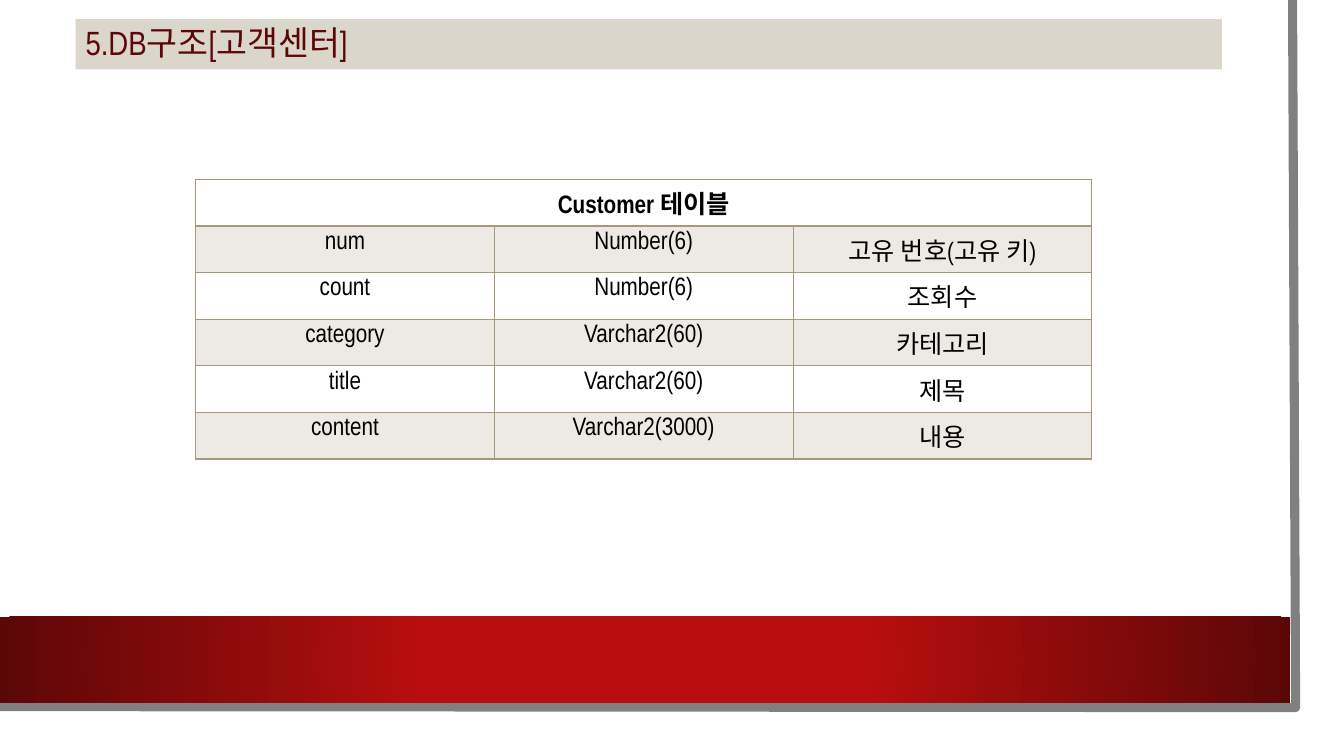
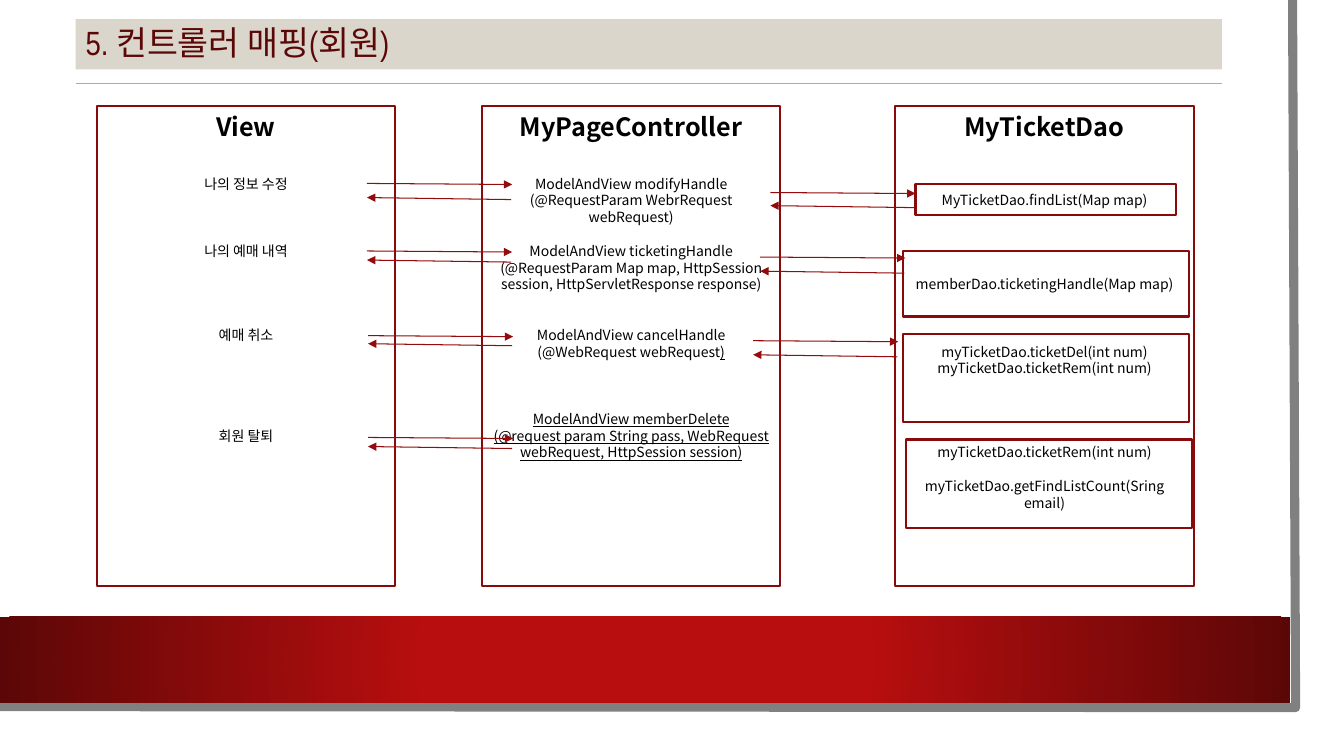
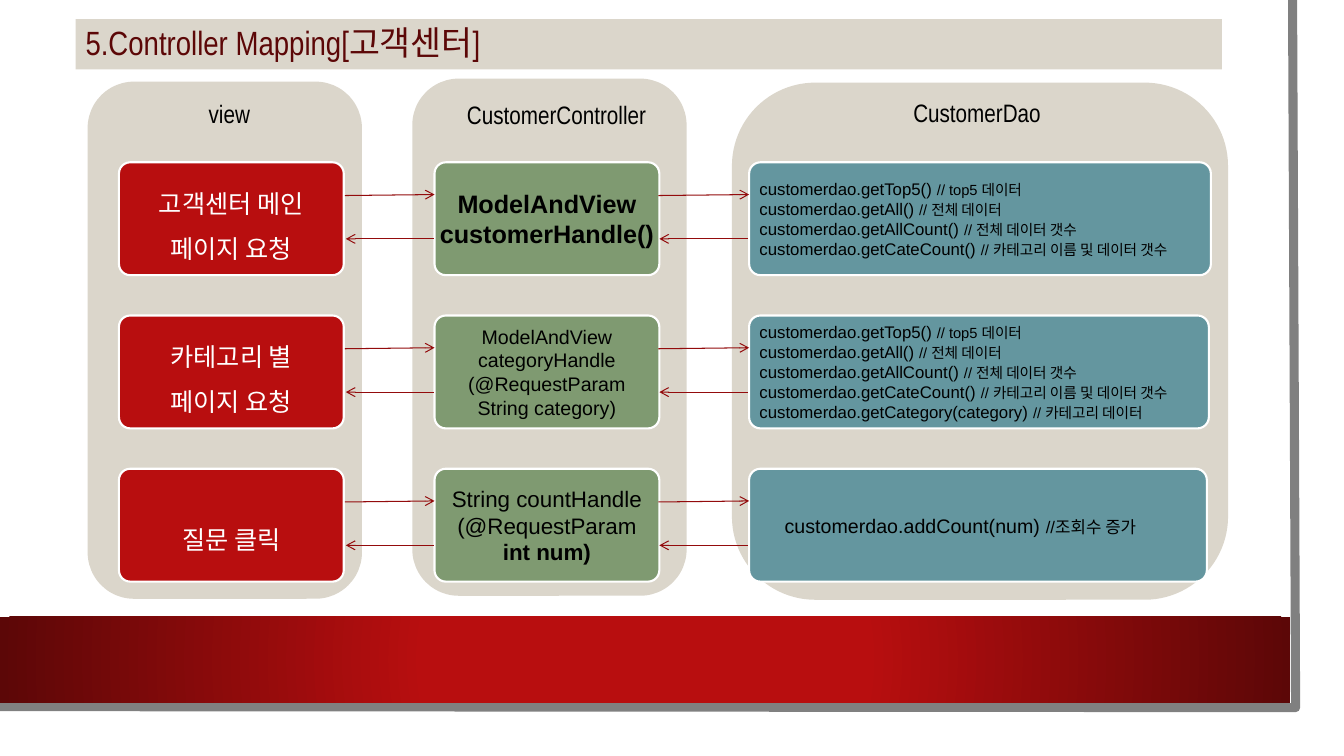
from dataclasses import dataclass

from lxml import etree
from pptx import Presentation
from pptx.dml.color import RGBColor
from pptx.enum.shapes import MSO_CONNECTOR, MSO_SHAPE
from pptx.enum.text import MSO_ANCHOR, PP_ALIGN
from pptx.oxml.ns import qn
from pptx.util import Inches, Pt

RECT, ROUND = MSO_SHAPE.RECTANGLE, MSO_SHAPE.ROUNDED_RECTANGLE
LEFT, CENTER = PP_ALIGN.LEFT, PP_ALIGN.CENTER
TOP, MIDDLE = MSO_ANCHOR.TOP, MSO_ANCHOR.MIDDLE
STRAIGHT = MSO_CONNECTOR.STRAIGHT


@dataclass(frozen=True)
class Theme:
    black: RGBColor = RGBColor.from_string("000000")
    white: RGBColor = RGBColor.from_string("FFFFFF")
    grey: RGBColor = RGBColor.from_string("808080")
    sand: RGBColor = RGBColor.from_string("DBD6CB")
    red: RGBColor = RGBColor.from_string("B80E0F")
    maroon: RGBColor = RGBColor.from_string("5C0707")
    outline: RGBColor = RGBColor.from_string("880A0B")
    arrow: RGBColor = RGBColor.from_string("930B0C")
    rule: RGBColor = RGBColor.from_string("F68B8C")
    green: RGBColor = RGBColor.from_string("7F9A71")
    blue: RGBColor = RGBColor.from_string("64969F")
    border: str = "A6987D"
    band: RGBColor = RGBColor.from_string("EDEAE5")
    narrow: str = "Arial Narrow"
    sans: str = "Arial"
    korean: str = "Noto Sans CJK KR"
    title: Pt = Pt(24)
    heading: Pt = Pt(18)
    large: Pt = Pt(16)
    medium: Pt = Pt(14)
    code: Pt = Pt(12)
    comment: Pt = Pt(10.5)
    small: Pt = Pt(10)


T = Theme()
LABEL = {"name": T.narrow, "size": T.heading}


def add_box(s, kind, at, fill=None, line=None, paras=(), color=T.black, frame=None):
    """Add a shape, or a text box when kind is None.

    Each paragraph is (runs, paragraph format); each run is (text, font format).
    """
    at = [Inches(v) for v in at]
    if kind is None:
        sp = s.shapes.add_textbox(*at)
    else:
        sp = s.shapes.add_shape(kind, *at)
        sp.shadow.inherit = False
        for part, value in ((sp.fill, fill), (sp.line.fill, line)):
            if value is None:
                part.background()
            else:
                part.solid()
                part.fore_color.rgb = value
        if line is not None:
            sp.line.width = Pt(1.5)
    tf = sp.text_frame
    tf.word_wrap = True
    for key, value in (frame or {}).items():
        setattr(tf, key, value)
    for i, (runs, p_format) in enumerate(paras):
        p = tf.add_paragraph() if i else tf.paragraphs[0]
        for key, value in {"alignment": CENTER, **p_format}.items():
            setattr(p, key, value)
        for text, font in runs:
            r = p.add_run()
            r.text = text
            r.font.color.rgb = color
            for key, value in font.items():
                setattr(r.font, key, value)
            etree.SubElement(r.font._element, qn("a:ea"), typeface=T.korean)
    return sp


def add_line(s, x1, y1, x2, y2, color=T.arrow, head=None):
    c = s.shapes.add_connector(STRAIGHT, *[Inches(v) for v in (x1, y1, x2, y2)])
    c.line.color.rgb = color
    c.line.width = Pt(0.75)
    if head:
        etree.SubElement(c.line._get_or_add_ln(), qn("a:tailEnd"), type=head)
    etree.SubElement(c._element.spPr, qn("a:effectLst"))


prs = Presentation()
prs.slide_width, prs.slide_height = Inches(13.33), Inches(7.5)

# Shared frame and title
slides = []
for title in ("5.DB구조[고객센터]", "5. 컨트롤러 매핑(회원)", "5.Controller Mapping[고객센터]"):
    s = prs.slides.add_slide(prs.slide_layouts[6])
    slides.append(s)
    builder = s.shapes.build_freeform(Inches(12.82), 0)
    builder.add_line_segments(
        [(Inches(12.85), Inches(7.02)), (Inches(-0.03), Inches(7.01))], close=False)
    edge = builder.convert_to_shape()
    edge.shadow.inherit = False
    edge.fill.background()
    edge.line.color.rgb = T.grey
    edge.line.width = Pt(6.5)

    footer = add_box(s, RECT, (0, 6.12, 12.8, 0.85), fill=T.red)
    footer.fill.gradient()
    for stop, color, position in zip(footer.fill.gradient_stops, (T.red, T.maroon), (0.34, 1)):
        stop.color.rgb = color
        stop.position = position
    grad = footer._element.spPr.find(qn("a:gradFill"))
    grad.remove(grad.find(qn("a:lin")))
    radial = etree.SubElement(grad, qn("a:path"), path="circle")
    etree.SubElement(radial, qn("a:fillToRect"), {side: "50000" for side in "ltrb"})

    add_box(s, RECT, (0.75, 0.19, 11.37, 0.5), fill=T.sand, color=T.maroon,
            paras=[([(title, {"name": T.narrow, "size": T.title})],
                    {"alignment": LEFT, "line_spacing": 0.9})],
            frame={"vertical_anchor": MIDDLE})
table_slide, member_slide, center_slide = slides

# Customer table
rows = [
    ("Customer 테이블", "", ""),
    ("num", "Number(6)", "고유 번호(고유 키)"),
    ("count", "Number(6)", "조회수"),
    ("category", "Varchar2(60)", "카테고리"),
    ("title", "Varchar2(60)", "제목"),
    ("content", "Varchar2(3000)", "내용"),
]
row_height = Inches(0.46)
table = table_slide.shapes.add_table(
    len(rows), 3, Inches(1.94), Inches(1.78), Inches(8.89), row_height * len(rows)).table
table.first_row = table.horz_banding = False
for i, row in enumerate(rows):
    table.rows[i].height = row_height
    for j, text in enumerate(row):
        cell = table.cell(i, j)
        tcPr = cell._tc.get_or_add_tcPr()
        for side in ("lnL", "lnR", "lnT", "lnB"):
            width = Pt(2) if (i, side) in ((0, "lnB"), (1, "lnT")) else Pt(1)
            ln = etree.SubElement(tcPr, qn(f"a:{side}"), w=str(width))
            solid = etree.SubElement(ln, qn("a:solidFill"))
            etree.SubElement(solid, qn("a:srgbClr"), val=T.border)
        if i % 2:
            cell.fill.solid()
            cell.fill.fore_color.rgb = T.band
        else:
            cell.fill.background()
        if text:
            p = cell.text_frame.paragraphs[0]
            p.alignment = CENTER
            r = p.add_run()
            r.text = text
            r.font.color.rgb = T.black
            for key, value in {**LABEL, "bold": i == 0}.items():
                setattr(r.font, key, value)
            etree.SubElement(r.font._element, qn("a:ea"), typeface=T.korean)
table.cell(0, 0).merge(table.cell(0, 2))

# Member mapping: each line is (empty lines above, plain text, underlined text)
s = member_slide
columns = [
    (0.96, "View", [
        (2, "나의 정보 수정"),
        (3, "나의 예매 내역"),
        (4, "예매 취소"),
        (5, "회원 탈퇴"),
    ]),
    (4.78, "MyPageController", [
        (2, "ModelAndView modifyHandle"),
        (0, "(@RequestParam WebrRequest webRequest)"),
        (1, "ModelAndView ticketingHandle"),
        (0, "(@RequestParam Map map, HttpSession session, HttpServletResponse response)"),
        (2, "ModelAndView cancelHandle"),
        (0, "(@WebRequest webRequest", ")"),
        (3, "", "ModelAndView memberDelete"),
        (0, "", "(@request param String pass, WebRequest webRequest, HttpSession session)"),
    ]),
    (8.88, "MyTicketDao", [
        (3, "MyTicketDao.findList(Map map)"),
        (4, "memberDao.ticketingHandle(Map map)"),
        (3, "myTicketDao.ticketDel(int num)"),
        (0, "myTicketDao.ticketRem(int num)"),
        (4, "myTicketDao.ticketRem(int num)"),
        (1, "myTicketDao.getFindListCount(Sring email)"),
    ]),
]
line_height = 12
for x, heading, lines in columns:
    paras = [([(heading, {"name": T.korean, "size": T.heading, "bold": True})],
              {"line_spacing": Pt(22)})]
    for gap, *texts in lines:
        runs = [(text, {"name": T.korean, "size": T.small, "underline": k == 1})
                for k, text in enumerate(texts) if text]
        paras.append((runs, {"line_spacing": Pt(line_height),
                             "space_before": Pt(gap * line_height)}))
    add_box(s, RECT, (x, 1.05, 2.96, 4.76), line=T.outline, paras=paras,
            frame={"vertical_anchor": TOP})

for at in ((9.08, 1.83, 2.58, 0.3), (8.96, 2.49, 2.83, 0.65),
           (8.96, 3.31, 2.83, 0.88), (8.99, 4.36, 2.83, 0.88)):
    add_box(s, RECT, at, line=T.outline)

for x, y_call, y_return in (
        (3.64, 1.82, 1.96), (3.64, 2.49, 2.58), (3.65, 3.33, 3.41), (3.65, 4.34, 4.43),
        (7.64, 1.91, 2.04), (7.54, 2.55, 2.69), (7.47, 3.38, 3.52)):
    add_line(s, x, y_call, x + 1.44, y_call + 0.01, head="triangle")
    add_line(s, x + 1.43, y_return + 0.02, x, y_return, head="triangle")
add_line(s, 0.75, 0.83, 12.12, 0.83, color=T.rule)

# Customer center mapping
s = center_slide
for x, y, width in ((0.88, 0.82, 2.7), (4.1, 0.79, 2.7), (7.27, 0.83, 4.9)):
    add_box(s, ROUND, (x, y, width, 5.11), fill=T.sand, line=T.sand)
for text, x, y, width in (("view", 1.56, 0.93, 1.43), ("CustomerController", 4.38, 0.94, 2.28),
                          ("CustomerDao", 8.88, 0.92, 1.62)):
    add_box(s, None, (x, y, width, 0.4), paras=[([(text, LABEL)], {})])

queries = [
    ("customerdao.getTop5() ", "// top5 데이터"),
    ("customerdao.getAll() ", "// 전체 데이터"),
    ("customerdao.getAllCount() ", "// 전체 데이터 갯수"),
    ("customerdao.getCateCount() ", "// 카테고리 이름 및 데이터 갯수"),
]
category_query = ("customerdao.getCategory(category) ", "// 카테고리 데이터")
count_query = ("customerdao.addCount(num) ", "//조회수 증가")
# Request, its line height; handler lines as (text, bold), size;
# queries, code size, comment size, line height, left margin, box width
requests = [
    ("고객센터 메인 페이지 요청", 32,
     [("ModelAndView customerHandle()", True)], T.heading,
     queries, T.code, T.comment, 14.4, 0.07, 4.58),
    ("카테고리 별 페이지 요청", 32,
     [("ModelAndView categoryHandle", False), ("(@RequestParam", False),
      ("String category)", False)], T.medium,
     queries + [category_query], T.code, T.comment, 14.4, 0.07, 4.56),
    ("질문 클릭", 42,
     [("String countHandle", False), ("(@RequestParam", False), ("int num)", True)], T.large,
     [count_query], T.medium, T.code, 17, 0.32, 4.54),
]
for i, (request, request_height, handler, handler_size, calls, code_size, comment_size,
        call_height, margin, dao_width) in enumerate(requests):
    y = 1.61 + 1.52 * i
    request_paras = [([(request, LABEL)], {"line_spacing": Pt(request_height)})]
    handler_paras = [([(text, {"name": T.sans, "size": handler_size, "bold": bold})], {})
                     for text, bold in handler]
    call_paras = [([(code, {"name": T.sans, "size": code_size}),
                    (comment, {"name": T.sans, "size": comment_size})],
                   {"alignment": LEFT, "line_spacing": Pt(call_height)})
                  for code, comment in calls]
    for x, width, fill, color, paras, left, right in (
            (1.18, 2.23, T.red, T.white, request_paras, 0.15, 0.15),
            (4.31, 2.23, T.green, T.black, handler_paras, 0, 0),
            (7.43, dao_width, T.blue, T.black, call_paras, margin, 0)):
        sp = add_box(s, ROUND, (x, y, width, 1.12), fill=fill, line=T.white,
                     paras=paras, color=color,
                     frame={"vertical_anchor": MIDDLE, "margin_left": Inches(left),
                            "margin_right": Inches(right), "margin_top": 0,
                            "margin_bottom": 0})
        sp.adjustments[0] = 0.1
    for x1, x2 in ((3.42, 4.31), (6.53, 7.43)):
        add_line(s, x1, y + 0.33, x2, y + 0.32, head="arrow")
        add_line(s, x2 - 0.01, y + 0.76, x1 + 0.01, y + 0.76, head="arrow")

prs.save("out.pptx")
